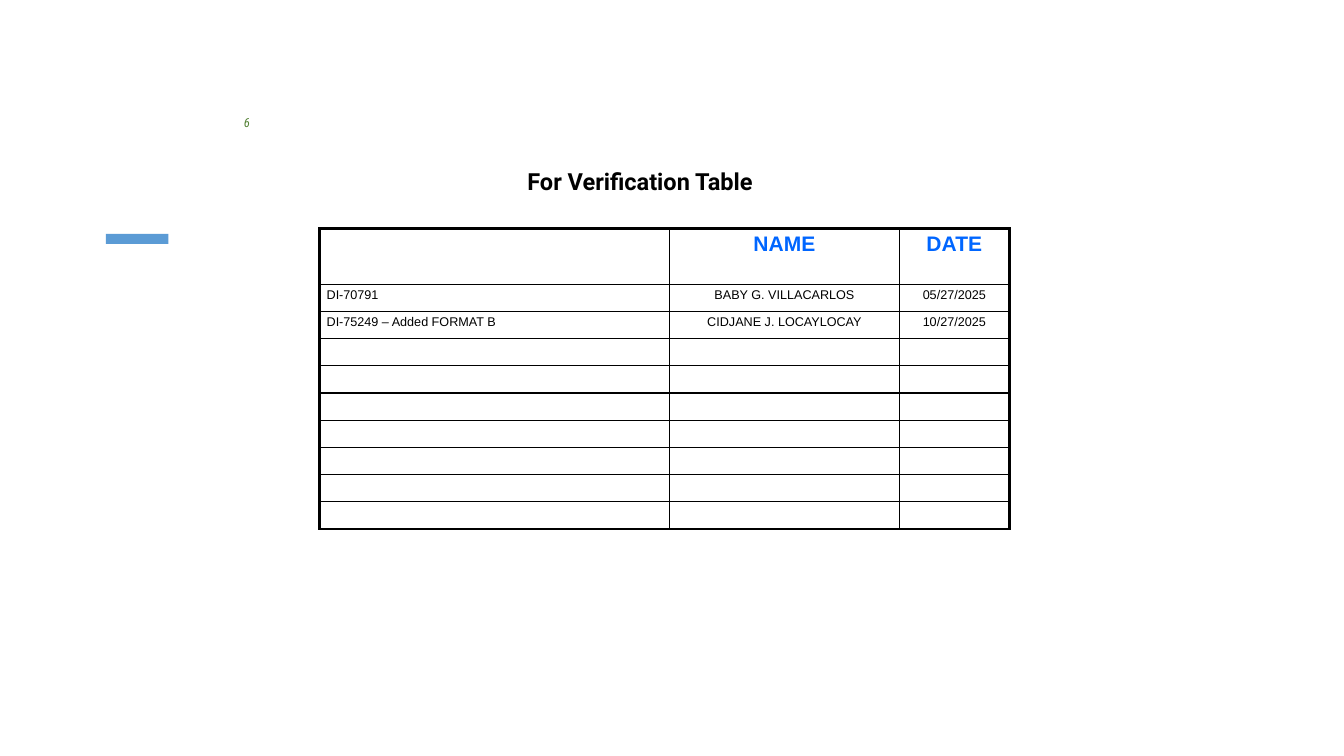
from lxml import etree
from pptx import Presentation
from pptx.dml.color import RGBColor
from pptx.enum.shapes import MSO_SHAPE
from pptx.enum.text import MSO_ANCHOR, MSO_AUTO_SIZE, PP_ALIGN
from pptx.oxml.ns import qn
from pptx.util import Inches, Pt

RECT = MSO_SHAPE.RECTANGLE
TOP, MIDDLE = MSO_ANCHOR.TOP, MSO_ANCHOR.MIDDLE
LEFT, CENTER = PP_ALIGN.LEFT, PP_ALIGN.CENTER
FIXED = MSO_AUTO_SIZE.NONE

TITLE = "For Verification Table"
NUMBER = "6"
HEAD = ("", "NAME", "DATE")
ENTRIES = [
    ("DI-70791", "BABY G. VILLACARLOS", "05/27/2025"),
    ("DI-75249 – Added FORMAT B", "CIDJANE J. LOCAYLOCAY", "10/27/2025"),
]
BLANKS = 7
WIDTHS = (3.47, 2.28, 1.09)
HEAD_H, ROW_H = 0.55, 0.27
THIN, THICK = 1, 2.25
COLORS = {"accent": "5B9BD5", "number": "548235", "head": "0066FF",
          "text": "000000", "paper": "FFFFFF"}


def color(name):
    return RGBColor.from_string(COLORS[name])


def style(para, face, size, tone, bold=False, italic=False):
    font = para.font
    font.name, font.size = face, Pt(size)
    font.bold, font.italic = bold, italic
    font.color.rgb = color(tone)


def pad(box):
    box.margin_left = box.margin_right = Inches(0.07)
    box.margin_top = box.margin_bottom = Inches(0.04)


def fill_box(shape, text, anchor):
    frame = shape.text_frame
    frame.text = text
    frame.word_wrap = True
    frame.auto_size = FIXED
    frame.vertical_anchor = anchor
    pad(frame)
    para = frame.paragraphs[0]
    para.alignment = LEFT
    return para


def border(cell, widths):
    props = cell._tc.get_or_add_tcPr()
    for spot, (side, width) in enumerate(widths.items()):
        line = etree.Element(qn("a:ln" + side), w=str(Pt(width)))
        solid = etree.SubElement(line, qn("a:solidFill"))
        etree.SubElement(solid, qn("a:srgbClr"), val=COLORS["text"])
        props.insert(spot, line)


def add_grid(slide):
    rows = [HEAD] + ENTRIES + [("",) * len(HEAD)] * BLANKS
    last_row, last_col = len(rows) - 1, len(HEAD) - 1
    tall = HEAD_H + ROW_H * last_row
    table = slide.shapes.add_table(
        len(rows), len(HEAD), Inches(3.17), Inches(2.27),
        Inches(sum(WIDTHS)), Inches(tall)).table
    table.first_row = table.horz_banding = False
    for col, width in zip(table.columns, WIDTHS):
        col.width = Inches(width)
    for r, row in enumerate(rows):
        table.rows[r].height = Inches(ROW_H if r else HEAD_H)
        for c, text in enumerate(row):
            cell = table.cell(r, c)
            cell.text = text
            pad(cell)
            cell.fill.solid()
            cell.fill.fore_color.rgb = color("paper")
            para = cell.text_frame.paragraphs[0]
            para.alignment = CENTER if c else LEFT
            if r:
                style(para, "Arial", 9, "text")
            else:
                style(para, "Arial", 15, "head", bold=True)
            if not text:
                para._p.get_or_add_endParaRPr().set("sz", "900")
            border(cell, {
                "L": THIN if c else THICK,
                "R": THICK if c == last_col else THIN,
                "T": THIN if r else THICK,
                "B": THICK if r == last_row else THIN,
            })


def main():
    deck = Presentation()
    deck.slide_width, deck.slide_height = Inches(13.33), Inches(7.5)
    slide = deck.slides.add_slide(deck.slide_layouts[5])

    bar = slide.shapes.add_shape(
        RECT, Inches(1.05), Inches(2.32), Inches(0.62), Inches(0.1))
    bar.shadow.inherit = False
    bar.fill.solid()
    bar.fill.fore_color.rgb = color("accent")
    bar.line.fill.background()

    number = slide.shapes.add_textbox(
        Inches(2.35), Inches(1.05), Inches(0.36), Inches(0.34))
    para = fill_box(number, NUMBER, MIDDLE)
    style(para, "Roboto Condensed", 9, "number", italic=True)

    title = slide.shapes.title
    title.left, title.top = Inches(5.16), Inches(1.69)
    title.width, title.height = Inches(2.84), Inches(0.43)
    para = fill_box(title, TITLE, TOP)
    para.line_spacing = 0.7
    style(para, "Roboto", 16.8, "text", bold=True)

    add_grid(slide)
    deck.save("out.pptx")


if __name__ == "__main__":
    main()
